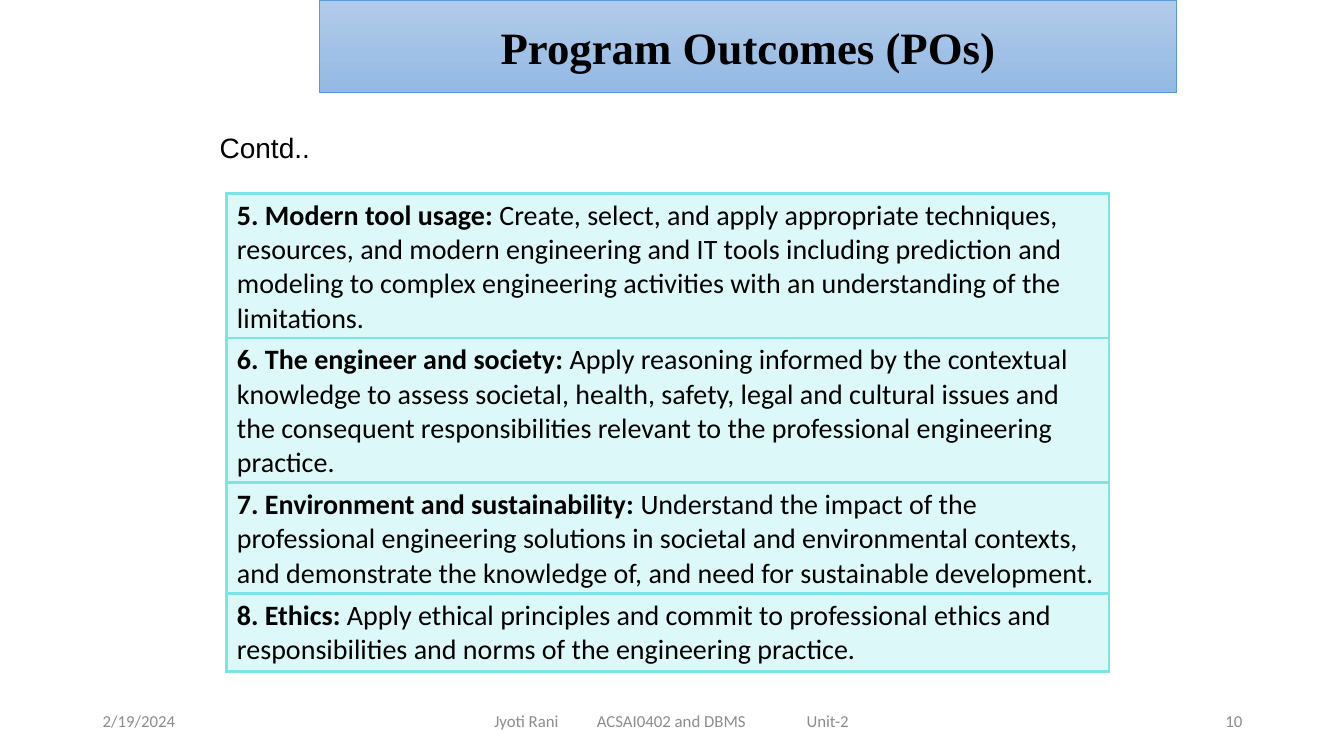
from dataclasses import dataclass

from lxml import etree
from pptx import Presentation
from pptx.dml.color import RGBColor
from pptx.enum.text import MSO_ANCHOR, MSO_AUTO_SIZE, PP_ALIGN
from pptx.oxml.ns import qn
from pptx.util import Inches, Pt


@dataclass(frozen=True)
class Theme:
    ink: str = "000000"
    muted: str = "8C8C8C"
    aqua: str = "7BE5E5"
    banner_top: str = "B1CBE9"
    banner_bottom: str = "93B9E4"
    banner_line: str = "5B9BD5"
    title_font: str = "Times New Roman"
    label_font: str = "Arial"
    body_font: str = "Calibri"
    title_size: int = 32
    body_size: int = 20
    footer_size: int = 12
    border_width: float = 2.25
    fill_alpha: int = 25


THEME = Theme()

OUTCOMES = [
    ("5. Modern tool usage: ",
     "Create, select, and apply appropriate techniques, resources, and modern "
     "engineering and IT tools including prediction and modeling to complex "
     "engineering activities with an understanding of the limitations.", 1.43),
    ("6. The engineer and society:",
     " Apply reasoning informed by the contextual knowledge to assess societal, "
     "health, safety, legal and cultural issues and the consequent responsibilities "
     "relevant to the professional engineering practice.", 1.43),
    ("7. Environment and sustainability: ",
     "Understand the impact of the professional engineering solutions in societal "
     "and environmental contexts, and demonstrate the knowledge of, and need for "
     "sustainable development.", 1.1),
    ("8. Ethics:",
     " Apply ethical principles and commit to professional ethics and "
     "responsibilities and norms of the engineering practice.", 0.77),
]


def add_run(p, text, font, size, color, bold=False):
    r = p.add_run()
    r.text = text
    r.font.name = font
    r.font.size = Pt(size)
    r.font.bold = bold
    r.font.color.rgb = RGBColor.from_string(color)


def set_title(slide, text, left, top, width, height):
    sp = slide.shapes.title
    sp.left, sp.top, sp.width, sp.height = map(Inches, (left, top, width, height))
    sp.fill.gradient()
    sp.fill.gradient_angle = 270
    for stop, color in zip(sp.fill.gradient_stops, (THEME.banner_top, THEME.banner_bottom)):
        stop.color.rgb = RGBColor.from_string(color)
    sp.line.color.rgb = RGBColor.from_string(THEME.banner_line)
    sp.line.width = Pt(0.5)
    tf = sp.text_frame
    tf.auto_size = MSO_AUTO_SIZE.NONE
    tf.vertical_anchor = MSO_ANCHOR.MIDDLE
    p = tf.paragraphs[0]
    p.alignment = PP_ALIGN.CENTER
    add_run(p, text, THEME.title_font, THEME.title_size, THEME.ink, bold=True)


def add_label(slide, text, left, top, width, height):
    tf = slide.shapes.add_textbox(*map(Inches, (left, top, width, height))).text_frame
    tf.word_wrap = False
    tf.auto_size = MSO_AUTO_SIZE.SHAPE_TO_FIT_TEXT
    add_run(tf.paragraphs[0], text, THEME.label_font, THEME.body_size, THEME.ink)


def add_footer(slide, text, left, width, align=PP_ALIGN.LEFT, inset=0.1, tabs=()):
    """Add one footer field; tabs are inches from the start of the text."""
    sp = slide.shapes.add_textbox(Inches(left), Inches(6.95), Inches(width), Inches(0.4))
    tf = sp.text_frame
    tf.word_wrap = True
    tf.margin_left = Inches(inset)
    tf.vertical_anchor = MSO_ANCHOR.MIDDLE
    p = tf.paragraphs[0]
    p.alignment = align
    if tabs:
        tab_list = etree.SubElement(p._p.get_or_add_pPr(), qn("a:tabLst"))
        for tab in tabs:
            etree.SubElement(tab_list, qn("a:tab"), pos=str(Inches(tab)), algn="l")
    add_run(p, text, THEME.body_font, THEME.footer_size, THEME.muted)


def style_cell(cell):
    """Give a cell its border on all sides and a translucent fill."""
    tc_pr = cell._tc.get_or_add_tcPr()
    for side in ("lnL", "lnR", "lnT", "lnB"):
        ln = etree.SubElement(tc_pr, qn(f"a:{side}"), w=str(Pt(THEME.border_width)))
        solid = etree.SubElement(ln, qn("a:solidFill"))
        etree.SubElement(solid, qn("a:srgbClr"), val=THEME.aqua)
    cell.fill.solid()
    cell.fill.fore_color.rgb = RGBColor.from_string(THEME.aqua)
    color = tc_pr.find(qn("a:solidFill")).find(qn("a:srgbClr"))
    etree.SubElement(color, qn("a:alpha"), val=str(THEME.fill_alpha * 1000))


def add_outcome_table(slide, outcomes, left, top, width):
    height = sum(row_height for _, _, row_height in outcomes)
    frame = slide.shapes.add_table(
        len(outcomes), 1, *map(Inches, (left, top, width, height)))
    table = frame.table
    table.first_row = table.horz_banding = False
    for row, (heading, detail, row_height) in zip(table.rows, outcomes):
        row.height = Inches(row_height)
        cell = row.cells[0]
        style_cell(cell)
        p = cell.text_frame.paragraphs[0]
        add_run(p, heading, THEME.body_font, THEME.body_size, THEME.ink, bold=True)
        add_run(p, detail, THEME.body_font, THEME.body_size, THEME.ink)


def main():
    prs = Presentation()
    prs.slide_width, prs.slide_height = Inches(13.33), Inches(7.5)
    slide = prs.slides.add_slide(prs.slide_layouts[5])
    set_title(slide, "Program Outcomes (POs)", 3.17, 0, 8.5, 0.92)
    add_label(slide, "Contd..", 2.08, 1.25, 1.1, 0.44)
    add_outcome_table(slide, OUTCOMES, 2.25, 1.92, 8.75)
    add_footer(slide, "2/19/2024", 0.92, 3)
    add_footer(slide, "Jyoti Rani\tACSAI0402 and DBMS\tUnit-2", 4.42, 4.5,
               inset=0.48, tabs=(1.02, 3.1))
    add_footer(slide, "10", 9.42, 3, align=PP_ALIGN.RIGHT)
    prs.save("out.pptx")


if __name__ == "__main__":
    main()
